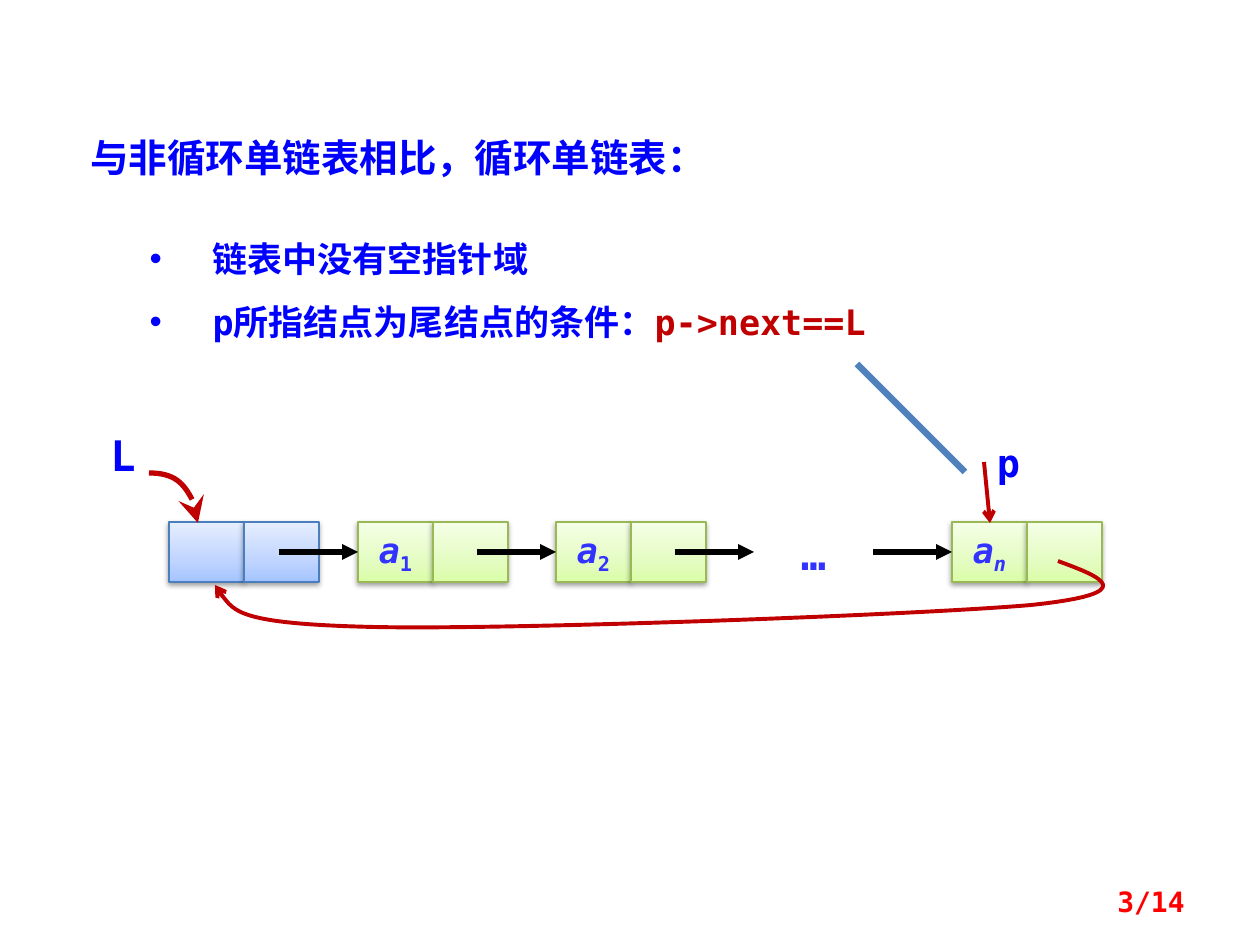
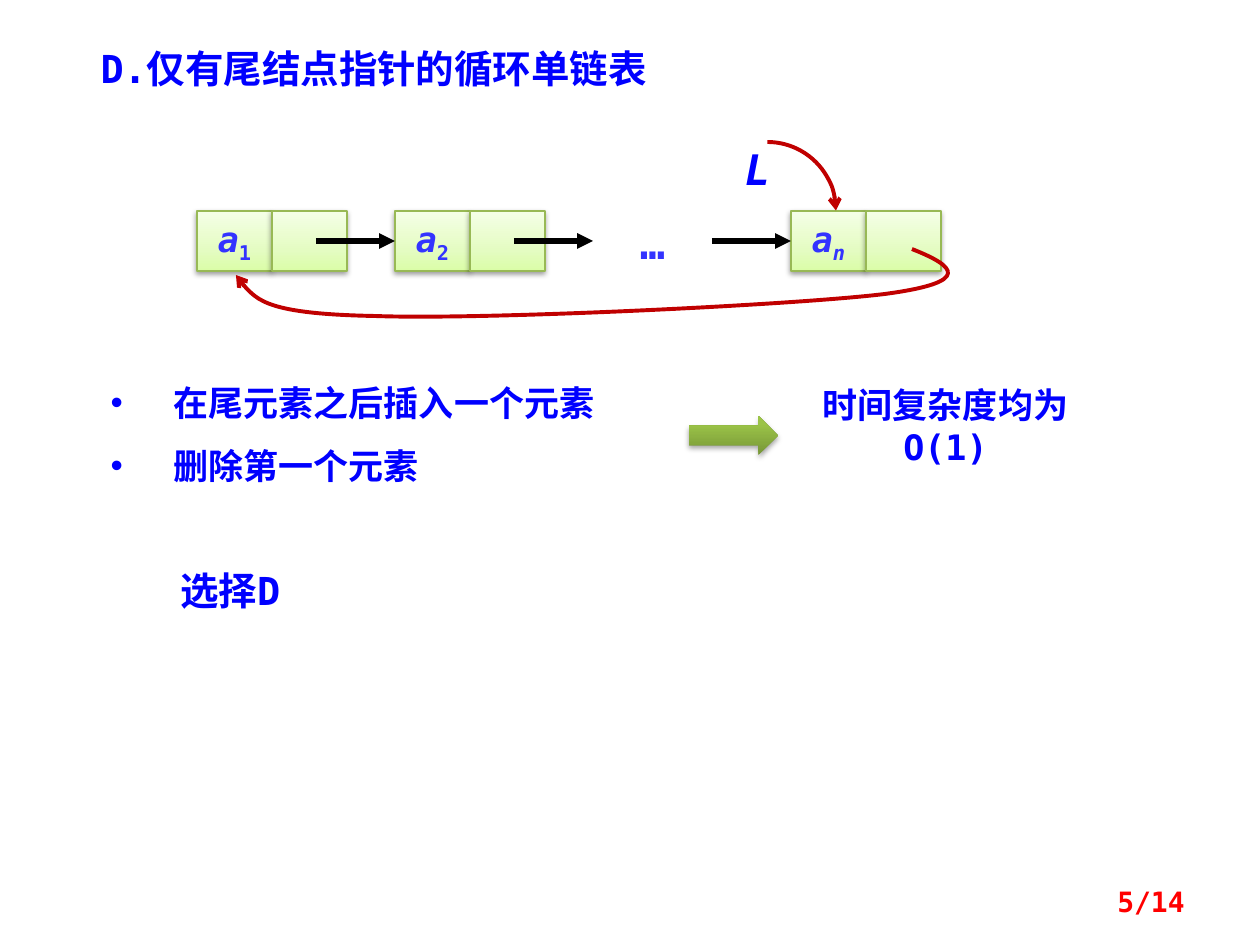
"""Builds two slides on circular singly linked lists."""
from dataclasses import dataclass

from lxml.etree import SubElement
from pptx import Presentation
from pptx.dml.color import RGBColor as RGB
from pptx.enum.shapes import MSO_CONNECTOR as CONN, MSO_SHAPE as SHAPE
from pptx.enum.text import MSO_ANCHOR as ANCHOR, MSO_AUTO_SIZE as FIT, PP_ALIGN as ALIGN
from pptx.oxml.ns import qn
from pptx.util import Pt

SCALE = 914400 / 126


@dataclass(frozen=True)
class Theme:
    """Colours, gradients, font and type sizes."""
    font: str = "DejaVu Sans Mono"
    text: str = "0000FF"
    node_text: str = "3333FF"
    accent: str = "C00000"
    page: str = "FF0000"
    link: str = "000000"
    pointer: str = "4F81BD"
    title_size: int = 22
    body_size: int = 20
    label_size: int = 24
    page_size: int = 16
    head_line: str = "4B7EBC"
    node_line: str = "98B955"
    head_fill: tuple = ((0, "A4C4FF"), (35, "BFD4FF"), (100, "E6EEFF"))
    node_fill: tuple = ((0, "DAFDA7"), (35, "E4FCC2"), (100, "F5FFE7"))
    arrow_fill: tuple = ((0, "779737"), (80, "9BC348"), (100, "9DC746"))


T = Theme()

CELL_W, CELL_H, PITCH = 75, 60, 198
LINK_LEN, HEAD_GAP = 79, 189
NODES = [("1", False), ("2", False), None, ("n", True)]
PAGE_BOX = (903, 876, 294, 50)

SLIDES = [
    dict(
        title=("与非循环单链表相比，循环单链表：", (78, 128, 837, 59)),
        bullets=([[("链表中没有空指针域", T.text)],
                  [("p所指结点为尾结点的条件：", T.text), ("p->next==L", T.accent)]],
                 (137, 210, 876, 140)),
        chain=dict(x=358, y=522, has_head=True),
        curves=[
            ([(149, 473), (175, 473), (198, 495), (198, 523)], 3, "stealth", "lg"),
            ([(1058, 561), (1101, 577), (1144, 593), (1031, 605), (916, 615),
              (510, 630), (374, 627), (238, 624), (227, 605), (215, 585)],
             2.25, "arrow", "med"),
        ],
        lines=[((984, 462), (990, 523), T.accent, 2.25, "arrow"),
               ((857, 364), (965, 472), T.pointer, 3.75, None)],
        labels=[("L", (98, 423, 59, 63), T.label_size, ALIGN.LEFT, False),
                ("p", (984, 433, 49, 59), T.title_size, ALIGN.CENTER, False)],
        page="3/14",
    ),
    dict(
        title=("D.仅有尾结点指针的循环单链表", (88, 39, 630, 59)),
        bullets=([[("在尾元素之后插入一个元素", T.text)],
                  [("删除第一个元素", T.text)]],
                 (98, 354, 620, 132)),
        chain=dict(x=197, y=211, has_head=False),
        curves=[
            ([(912, 249), (955, 266), (974, 282), (885, 294), (795, 305),
              (484, 320), (375, 316), (268, 314), (248, 294), (236, 275)],
             2.25, "arrow", "med"),
        ],
        arc=(699, 142, 137, 137),
        block_arrow=(689, 416, 89, 39),
        labels=[("L", (728, 137, 59, 63), T.label_size, ALIGN.CENTER, True),
                ("时间复杂度均为O(1)", (798, 377, 295, 97), T.body_size, ALIGN.CENTER, False),
                ("选择D", (168, 561, 217, 59), T.title_size, ALIGN.LEFT, False)],
        page="5/14",
    ),
]


def emu(*values):
    return [round(v * SCALE) for v in values]


def add_run(p, text, size, color=T.text, italic=False, subscript=False):
    r = p.add_run()
    r.text = text
    f = r.font
    f.name, f.size, f.bold, f.italic = T.font, Pt(size), True, italic
    f.color.rgb = RGB.from_string(color)
    rPr = r._r.get_or_add_rPr()
    SubElement(rPr, qn("a:ea")).set("typeface", T.font)
    if subscript:
        rPr.set("baseline", "-25000")


def add_label(slide, text, box, size, align, italic=False, color=T.text):
    tf = slide.shapes.add_textbox(*emu(*box)).text_frame
    tf.word_wrap = True
    p = tf.paragraphs[0]
    p.alignment = align
    add_run(p, text, size, color, italic)
    return tf


def place(sp, box):
    sp.left, sp.top, sp.width, sp.height = emu(*box)
    tf = sp.text_frame
    tf.vertical_anchor = ANCHOR.TOP
    tf.auto_size = FIT.SHAPE_TO_FIT_TEXT
    return tf


def set_line(sp, color, width, end=None, end_size="med"):
    sp.line.color.rgb = RGB.from_string(color)
    sp.line.width = Pt(width)
    if end:
        tail = SubElement(sp.line._get_or_add_ln(), qn("a:tailEnd"))
        for key, value in (("type", end), ("w", end_size), ("len", end_size)):
            tail.set(key, value)


def add_line(slide, start, stop, color, width, end):
    line = slide.shapes.add_connector(CONN.STRAIGHT, *emu(*start, *stop))
    set_line(line, color, width, end)
    SubElement(line._element.spPr, qn("a:effectLst"))


def add_curve(slide, points, width, end, end_size):
    builder = slide.shapes.build_freeform(*points[0], scale=SCALE)
    builder.add_line_segments(points[1:], close=False)
    sp = builder.convert_to_shape()
    sp.shadow.inherit = False
    sp.fill.background()
    outline = sp._element.find(".//" + qn("a:path"))
    segments = outline.findall(qn("a:lnTo"))
    for i in range(0, len(segments), 3):
        cubic = SubElement(outline, qn("a:cubicBezTo"))
        for segment in segments[i:i + 3]:
            cubic.append(segment[0])
            outline.remove(segment)
    set_line(sp, T.accent, width, end, end_size)


def add_shaded(slide, kind, box, stops, line_color=None, shadow_alpha=38):
    sp = slide.shapes.add_shape(kind, *emu(*box))
    sp.fill.gradient()
    sp.fill.gradient_angle = 90
    spPr = sp._element.spPr
    stop_list = spPr.find(".//" + qn("a:gsLst"))
    stop_list.clear()
    for position, color in stops:
        stop = SubElement(stop_list, qn("a:gs"))
        stop.set("pos", str(position * 1000))
        SubElement(stop, qn("a:srgbClr")).set("val", color)
    if line_color:
        set_line(sp, line_color, 0.75)
    else:
        sp.line.fill.background()
    sp.shadow.inherit = False
    shadow = SubElement(spPr.find(qn("a:effectLst")), qn("a:outerShdw"))
    for key, value in (("blurRad", Pt(3.1)), ("dist", Pt(1.7)), ("dir", 5400000), ("rotWithShape", 0)):
        shadow.set(key, str(int(value)))
    color = SubElement(shadow, qn("a:srgbClr"))
    color.set("val", "000000")
    SubElement(color, qn("a:alpha")).set("val", str(shadow_alpha * 1000))
    return sp


def add_node(slide, x, y, stops, line_color, index=None):
    cells = [add_shaded(slide, SHAPE.RECTANGLE, (x + i * CELL_W, y, CELL_W, CELL_H), stops, line_color)
             for i in range(2)]
    if index:
        tf = cells[0].text_frame
        tf.word_wrap = False
        tf.vertical_anchor = ANCHOR.MIDDLE
        p = tf.paragraphs[0]
        p.alignment = ALIGN.CENTER
        add_run(p, "a", T.body_size, T.node_text, italic=True)
        add_run(p, index[0], T.body_size, T.node_text, italic=index[1], subscript=True)


def add_chain(slide, x, y, has_head):
    if has_head:
        add_node(slide, x - HEAD_GAP, y, T.head_fill, T.head_line)
    starts = [x + i * PITCH for i in range(len(NODES))]
    for left, index in zip(starts, NODES):
        if index:
            add_node(slide, left, y, T.node_fill, T.node_line, index)
        else:
            add_label(slide, "…", (left + 20, y, 79, 63), T.label_size, ALIGN.CENTER, color=T.node_text)
    mid = y + CELL_H // 2
    for left in starts if has_head else starts[1:]:
        add_line(slide, (left - LINK_LEN, mid), (left, mid), T.link, 3, "triangle")


def add_bullets(sp, items, box):
    tf = place(sp, box)
    for i, runs in enumerate(items):
        p = tf.add_paragraph() if i else tf.paragraphs[0]
        p.line_spacing = 1.5
        p.space_before = Pt(0)
        pPr = p._p.get_or_add_pPr()
        pPr.set("marL", "457200")
        pPr.set("indent", "-457200")
        for text, color in runs:
            add_run(p, text, T.body_size, color)


def add_slide(prs, content):
    slide = prs.slides.add_slide(prs.slide_layouts[1])
    title, box = content["title"]
    p = place(slide.shapes.title, box).paragraphs[0]
    p.alignment = ALIGN.LEFT
    add_run(p, title, T.title_size)
    add_bullets(slide.placeholders[1], *content["bullets"])
    add_chain(slide, **content["chain"])
    for curve in content["curves"]:
        add_curve(slide, *curve)
    for line in content.get("lines", []):
        add_line(slide, *line)
    if "arc" in content:
        arc = slide.shapes.add_shape(SHAPE.ARC, *emu(*content["arc"]))
        arc.shadow.inherit = False
        arc.fill.background()
        set_line(arc, T.accent, 2.25, "arrow")
    if "block_arrow" in content:
        add_shaded(slide, SHAPE.RIGHT_ARROW, content["block_arrow"], T.arrow_fill, shadow_alpha=35)
    for label in content["labels"]:
        add_label(slide, *label)
    page = add_label(slide, content["page"], PAGE_BOX, T.page_size, ALIGN.RIGHT, color=T.page)
    page.vertical_anchor = ANCHOR.MIDDLE


def main():
    prs = Presentation()
    prs.slide_width, prs.slide_height = emu(1260, 945)
    for content in SLIDES:
        add_slide(prs, content)
    prs.save("out.pptx")


if __name__ == "__main__":
    main()
